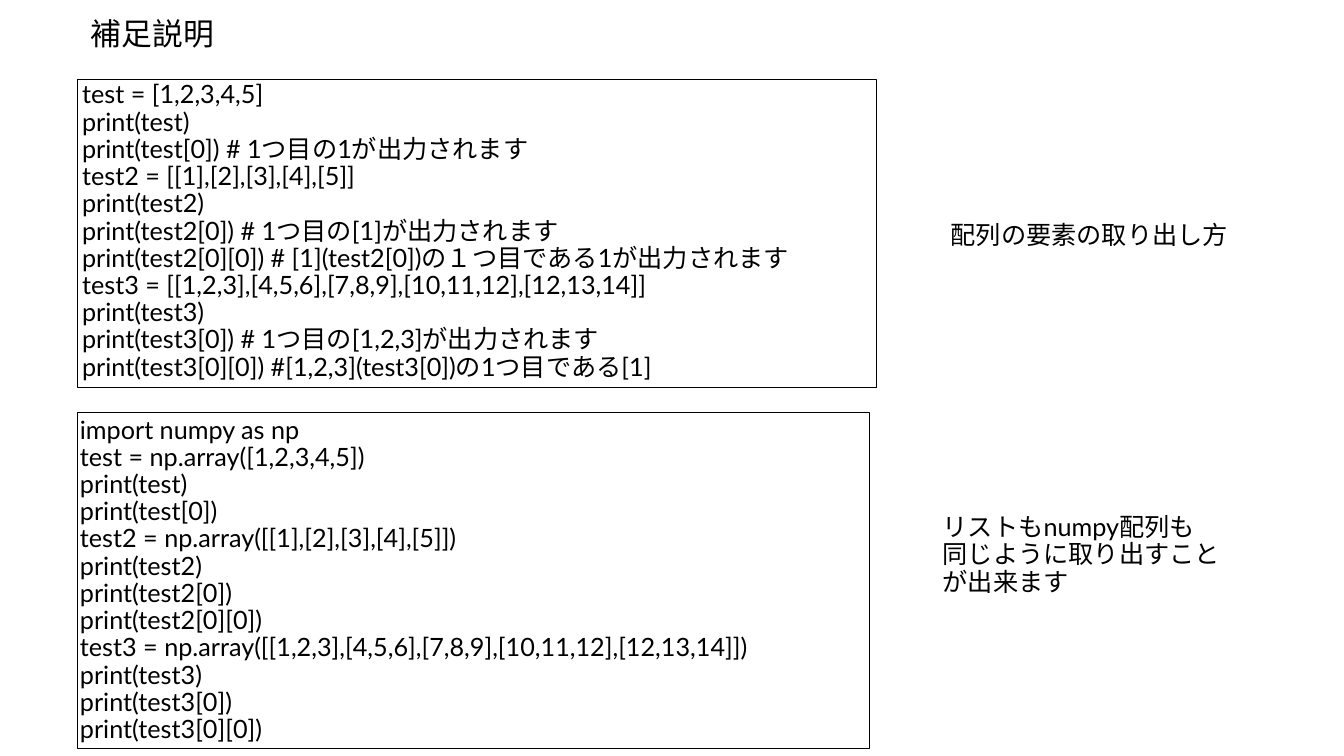
"""Build a slide explaining how to take elements out of lists and numpy arrays."""
from dataclasses import dataclass

from pptx import Presentation
from pptx.dml.color import RGBColor
from pptx.enum.shapes import MSO_SHAPE
from pptx.enum.text import MSO_ANCHOR, MSO_AUTO_SIZE, PP_ALIGN
from pptx.slide import Slide
from pptx.util import Pt

RECTANGLE = MSO_SHAPE.RECTANGLE
TOP, MIDDLE = MSO_ANCHOR.TOP, MSO_ANCHOR.MIDDLE
LEFT, CENTER = PP_ALIGN.LEFT, PP_ALIGN.CENTER
GROW = MSO_AUTO_SIZE.SHAPE_TO_FIT_TEXT


@dataclass(frozen=True)
class Theme:
    ink: RGBColor = RGBColor(0, 0, 0)
    font: str = "Lato"
    title_size: float = 44
    body_size: float = 36
    line_spacing: float = 0.9
    border_width: float = 1


@dataclass(frozen=True)
class TextBlock:
    left: float
    top: float
    width: float
    height: float
    text: str
    size: float
    bordered: bool = False
    alignment: PP_ALIGN = LEFT
    anchor: MSO_ANCHOR = MIDDLE
    side_inset: float = 4
    end_inset: float = 4


THEME = Theme()

LIST_CODE = """test = [1,2,3,4,5]
print(test)
print(test[0]) # 1つ目の1が出力されます
test2 = [[1],[2],[3],[4],[5]]
print(test2)
print(test2[0]) # 1つ目の[1]が出力されます
print(test2[0][0]) # [1](test2[0])の１つ目である1が出力されます
test3 = [[1,2,3],[4,5,6],[7,8,9],[10,11,12],[12,13,14]]
print(test3)
print(test3[0]) # 1つ目の[1,2,3]が出力されます
print(test3[0][0]) #[1,2,3](test3[0])の1つ目である[1]"""

ARRAY_CODE = """import numpy as np
test = np.array([1,2,3,4,5])
print(test)
print(test[0])
test2 = np.array([[1],[2],[3],[4],[5]])
print(test2)
print(test2[0])
print(test2[0][0])
test3 = np.array([[1,2,3],[4,5,6],[7,8,9],[10,11,12],[12,13,14]])
print(test3)
print(test3[0])
print(test3[0][0])"""

ARRAY_NOTE = """リストもnumpy配列も
同じように取り出すことが出来ます"""

BLOCKS = (
    TextBlock(110.2, 113.8, 1141.2, 439.2, LIST_CODE, THEME.body_size,
              bordered=True, anchor=TOP, side_inset=7.2, end_inset=3.6),
    TextBlock(110.2, 589.7, 1131.8, 479.5, ARRAY_CODE, THEME.body_size, bordered=True),
    TextBlock(55.4, 23, 325.4, 56.2, "補足説明", THEME.title_size, alignment=CENTER),
    TextBlock(1352.2, 313.2, 408.2, 47.5, "配列の要素の取り出し方",
              THEME.body_size, alignment=CENTER),
    TextBlock(1342.8, 730.8, 408.2, 126, ARRAY_NOTE, THEME.body_size),
)


def draw_block(slide: Slide, block: TextBlock) -> None:
    bounds = [Pt(value) for value in (block.left, block.top, block.width, block.height)]
    if block.bordered:
        shape = slide.shapes.add_shape(RECTANGLE, *bounds)
        shape.shadow.inherit = False
        shape.fill.background()
        shape.line.color.rgb = THEME.ink
        shape.line.width = Pt(THEME.border_width)
    else:
        shape = slide.shapes.add_textbox(*bounds)

    text_frame = shape.text_frame
    text_frame.word_wrap = True
    text_frame.auto_size = GROW
    text_frame.vertical_anchor = block.anchor
    text_frame.margin_left = text_frame.margin_right = Pt(block.side_inset)
    text_frame.margin_top = text_frame.margin_bottom = Pt(block.end_inset)
    text_frame.text = block.text
    for paragraph in text_frame.paragraphs:
        paragraph.alignment = block.alignment
        paragraph.line_spacing = THEME.line_spacing
        for run in paragraph.runs:
            run.font.name = THEME.font
            run.font.size = Pt(block.size)
            run.font.color.rgb = THEME.ink


def main() -> None:
    presentation = Presentation()
    presentation.slide_width = Pt(1920)
    presentation.slide_height = Pt(1080)
    slide = presentation.slides.add_slide(presentation.slide_layouts[6])
    for block in BLOCKS:
        draw_block(slide, block)
    presentation.save("out.pptx")


if __name__ == "__main__":
    main()
